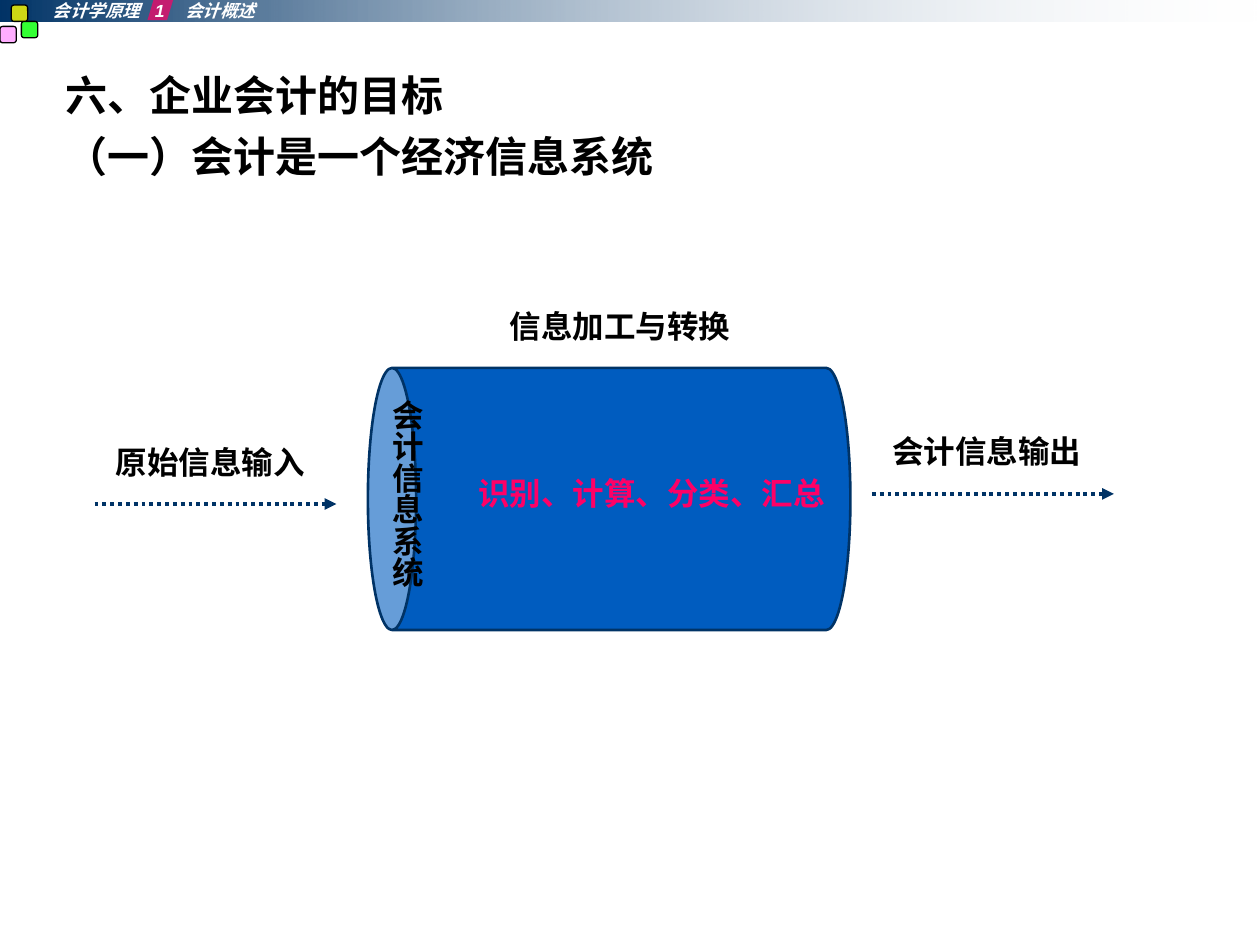
from dataclasses import dataclass

from lxml import etree
from pptx import Presentation
from pptx.dml.color import RGBColor
from pptx.enum import dml, shapes, text
from pptx.oxml.ns import qn
from pptx.util import Inches, Pt


@dataclass(frozen=True)
class Theme:
    navy: str = "003366"
    pale: str = "E7ECF1"
    blue: str = "005CBF"
    pink: str = "FF0066"
    white: str = "FFFFFF"
    black: str = "000000"
    squares: tuple = ("FF99FF", "00FF00", "FFFF00")
    font: str = "Arial"
    label_font: str = "DejaVu Sans"
    header_size: int = 10
    title_size: int = 24
    label_size: int = 18


THEME = Theme()


def rgb(color):
    return RGBColor.from_string(color)


def set_alpha(color_element, percent):
    etree.SubElement(color_element, qn("a:alpha"), val=str(percent * 1000))


def add_shape(slide, kind, box, fill=None, line=None, width=0.75, alpha=None):
    shape = slide.shapes.add_shape(kind, *map(Inches, box))
    shape.shadow.inherit = False
    if fill:
        shape.fill.solid()
        shape.fill.fore_color.rgb = rgb(fill)
        if alpha is not None:
            set_alpha(shape.element.spPr.find(".//" + qn("a:srgbClr")), alpha)
    else:
        shape.fill.background()
    if line:
        shape.line.color.rgb = rgb(line)
        shape.line.width = Pt(width)
    else:
        shape.line.fill.background()
    return shape


def style_paragraph(paragraph, size, color=THEME.black, font=THEME.font, italic=None):
    paragraph.font.size = Pt(size)
    paragraph.font.name = font
    paragraph.font.bold = True
    paragraph.font.italic = italic
    paragraph.font.color.rgb = rgb(color)


def set_margins(frame, horizontal, vertical):
    frame.margin_left = frame.margin_right = Inches(horizontal)
    frame.margin_top = frame.margin_bottom = Inches(vertical)


def add_text_box(slide, box, wording):
    frame = slide.shapes.add_textbox(*map(Inches, box)).text_frame
    frame.word_wrap = True
    set_margins(frame, 0, 0)
    frame.text = wording
    return frame


def center_text(frame):
    frame.word_wrap = False
    frame.vertical_anchor = text.MSO_ANCHOR.MIDDLE
    frame.paragraphs[0].alignment = text.PP_ALIGN.CENTER


def add_label(slide, box, wording, fill=None):
    shape = add_shape(slide, shapes.MSO_SHAPE.RECTANGLE, box, fill, THEME.white)
    frame = shape.text_frame
    set_margins(frame, 0, 0)
    frame.text = wording
    center_text(frame)
    style_paragraph(frame.paragraphs[0], THEME.label_size, font=THEME.label_font)


def add_arrow(slide, left, top, length):
    """Dotted horizontal arrow pointing right."""
    arrow = slide.shapes.add_connector(
        shapes.MSO_CONNECTOR.STRAIGHT,
        Inches(left), Inches(top), Inches(left + length), Inches(top))
    arrow.line.color.rgb = rgb(THEME.navy)
    arrow.line.width = Pt(2.25)
    arrow.line.dash_style = dml.MSO_LINE.ROUND_DOT
    properties = arrow.element.spPr
    etree.SubElement(properties.find(qn("a:ln")), qn("a:tailEnd"), type="triangle")
    etree.SubElement(properties, qn("a:effectLst"))


def add_header(slide, left, top, width, height):
    band = add_shape(slide, shapes.MSO_SHAPE.RECTANGLE,
                     (left, top, width, height), THEME.navy)
    band.fill.gradient()
    band.fill.gradient_angle = 0
    for stop, color in zip(band.fill.gradient_stops, (THEME.navy, THEME.pale)):
        stop.color.rgb = rgb(color)
    set_alpha(band.element.spPr.findall(".//" + qn("a:srgbClr"))[-1], 0)

    offsets = ((0, 0.21), (0.17, 0.17), (0.09, 0.04))
    for (x, y), color in zip(offsets, THEME.squares):
        add_shape(slide, shapes.MSO_SHAPE.ROUNDED_RECTANGLE,
                  (left + x, top + y, 0.13, 0.13), color, THEME.black, alpha=80)

    marker = add_shape(slide, shapes.MSO_SHAPE.PARALLELOGRAM,
                       (left + 1.17, top - 0.02, 0.21, 0.18), THEME.pink, alpha=70)
    marker.adjustments[0] = 0.3

    frame = add_text_box(slide, (left + 0.42, top, 2.12, height),
                         "会计学原理\t1\t会计概述")
    paragraph = frame.paragraphs[0]
    tabs = etree.SubElement(paragraph._p.get_or_add_pPr(), qn("a:tabLst"))
    for position in (0.81, 1.05):
        etree.SubElement(tabs, qn("a:tab"), pos=str(Inches(position)), algn="l")
    style_paragraph(paragraph, THEME.header_size, THEME.white, italic=True)


def add_title(slide, *box):
    frame = add_text_box(slide, box, "六、企业会计的目标\n（一）会计是一个经济信息系统")
    set_margins(frame, 0.1, 0.05)
    for paragraph in frame.paragraphs:
        style_paragraph(paragraph, THEME.title_size)
    frame.paragraphs[1].space_before = Pt(6)


def add_flow(slide, left, top, width, height):
    """Cylinder lying on its side within the box, with its input and output."""
    right, middle = left + width, top + height / 2
    add_arrow(slide, left - 2.17, middle + 0.04, 1.92)
    add_label(slide, (left - 2.25, middle - 0.54, 2, 0.5), "原始信息输入", THEME.white)
    add_label(slide, (right + 0.08, middle - 0.63, 2, 0.5), "会计信息输出", THEME.white)
    add_arrow(slide, right + 0.17, middle - 0.04, 1.92)
    add_label(slide, (left + 1, top - 0.5, 2, 0.33), "信息加工与转换")

    upright = (left + (width - height) / 2, top - (width - height) / 2, height, width)
    cylinder = add_shape(slide, shapes.MSO_SHAPE.CAN, upright,
                         THEME.blue, THEME.navy, 1.5)
    cylinder.rotation = 270
    cylinder.adjustments[0] = 0.184

    system = add_text_box(slide, (left + 0.16, top + 0.25, 0.3, 1.58), "会计信息系统")
    system._txBody.bodyPr.set("vert", "eaVert")
    style_paragraph(system.paragraphs[0], THEME.label_size)

    steps = add_text_box(slide, (left + 0.75, middle - 0.21, 3, 0.33),
                         "识别、计算、分类、汇总")
    center_text(steps)
    style_paragraph(steps.paragraphs[0], THEME.label_size, THEME.pink)


def main():
    presentation = Presentation()
    presentation.slide_width = Inches(10)
    presentation.slide_height = Inches(7.5)
    slide = presentation.slides.add_slide(presentation.slide_layouts[6])
    add_header(slide, 0, 0, 10, 0.17)
    add_title(slide, 0.42, 0.5, 9.17, 6.58)
    add_flow(slide, 2.92, 2.92, 3.83, 2.08)
    presentation.save("out.pptx")


if __name__ == "__main__":
    main()
